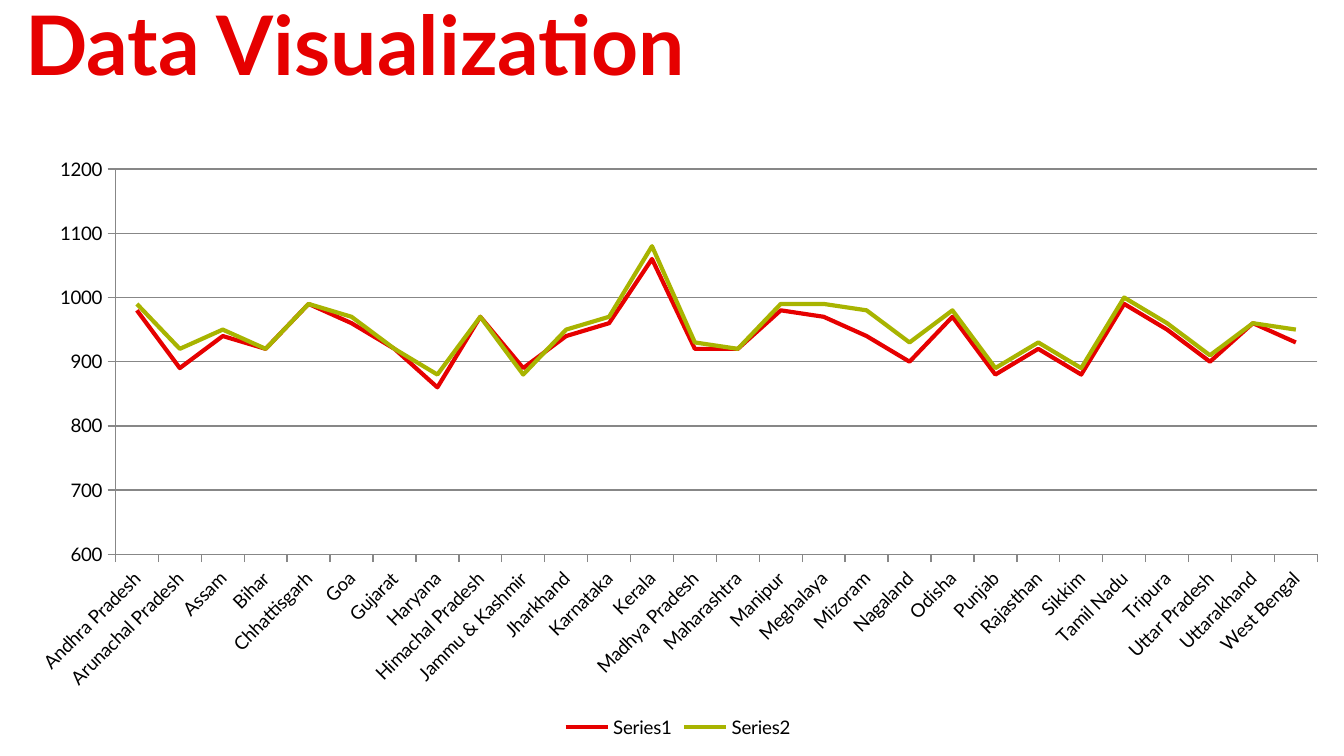
from pptx import Presentation
from pptx.chart.data import CategoryChartData
from pptx.dml.color import RGBColor
from pptx.enum.chart import XL_CHART_TYPE as ChartType, XL_LEGEND_POSITION as LegendPos
from pptx.enum.chart import XL_TICK_MARK as TickMark
from pptx.enum.text import MSO_ANCHOR as Anchor
from pptx.oxml.ns import qn
from pptx.util import Pt

SCALE = 914400 / 134.4  # EMU in one px
FONT = "Lato"
COLORS = {"red": "E60000", "olive": "A8B400", "ink": "000000", "rule": "878787"}

# State, first series, second series
STATES = [
    ("Andhra Pradesh", 980, 990), ("Arunachal Pradesh", 890, 920),
    ("Assam", 940, 950), ("Bihar", 920, 920),
    ("Chhattisgarh", 990, 990), ("Goa", 960, 970),
    ("Gujarat", 920, 920), ("Haryana", 860, 880),
    ("Himachal Pradesh", 970, 970), ("Jammu & Kashmir", 890, 880),
    ("Jharkhand", 940, 950), ("Karnataka", 960, 970),
    ("Kerala", 1060, 1080), ("Madhya Pradesh", 920, 930),
    ("Maharashtra", 920, 920), ("Manipur", 980, 990),
    ("Meghalaya", 970, 990), ("Mizoram", 940, 980),
    ("Nagaland", 900, 930), ("Odisha", 970, 980),
    ("Punjab", 880, 890), ("Rajasthan", 920, 930),
    ("Sikkim", 880, 890), ("Tamil Nadu", 990, 1000),
    ("Tripura", 950, 960), ("Uttar Pradesh", 900, 910),
    ("Uttarakhand", 960, 960), ("West Bengal", 930, 950),
]


def px(length):
    return round(length * SCALE)


def color(name):
    return RGBColor.from_string(COLORS[name])


def style_line(line, name, width):
    line.color.rgb = color(name)
    line.width = Pt(width)


def add_title(slide, box, wording):
    frame = slide.shapes.add_textbox(*map(px, box)).text_frame
    frame.word_wrap = True
    frame.vertical_anchor = Anchor.TOP
    run = frame.paragraphs[0].add_run()
    run.text = wording
    run.font.name, run.font.size, run.font.bold = FONT, Pt(44), True
    run.font.color.rgb = color("red")


def add_state_chart(slide, box):
    names, first, second = zip(*STATES)
    data = CategoryChartData(number_format="General")
    data.categories = names
    data.add_series("Series1", first)
    data.add_series("Series2", second)
    chart = slide.shapes.add_chart(ChartType.LINE, *map(px, box), data).chart
    chart.has_title = False
    chart.font.name, chart.font.size = FONT, Pt(10)
    chart.font.color.rgb = color("ink")

    # Lines
    chart.plots[0].vary_by_categories = False
    for series, name in zip(chart.plots[0].series, ("red", "olive")):
        series.smooth = False
        style_line(series.format.line, name, 2.25)

    # Axes
    states, ratio = chart.category_axis, chart.value_axis
    for axis in (states, ratio):
        axis.major_tick_mark = TickMark.OUTSIDE
        axis.minor_tick_mark = TickMark.NONE
        style_line(axis.format.line, "rule", 0.75)
    states.tick_labels.font.size = Pt(10)
    states._element.find(qn("c:txPr")).find(qn("a:bodyPr")).set("rot", "-2700000")
    ratio.minimum_scale, ratio.maximum_scale, ratio.major_unit = 600, 1200, 100
    ratio.has_major_gridlines = True
    style_line(ratio.major_gridlines.format.line, "rule", 0.75)

    # Legend
    chart.has_legend = True
    chart.legend.position = LegendPos.BOTTOM
    chart.legend.include_in_layout = False


def main():
    deck = Presentation()
    deck.slide_width, deck.slide_height = px(1344), px(756)
    slide = deck.slides.add_slide(deck.slide_layouts[6])
    add_title(slide, (12, -13, 1191, 74), "Data Visualization")
    add_state_chart(slide, (12, 146, 1332, 598))
    deck.save("out.pptx")


if __name__ == "__main__":
    main()
